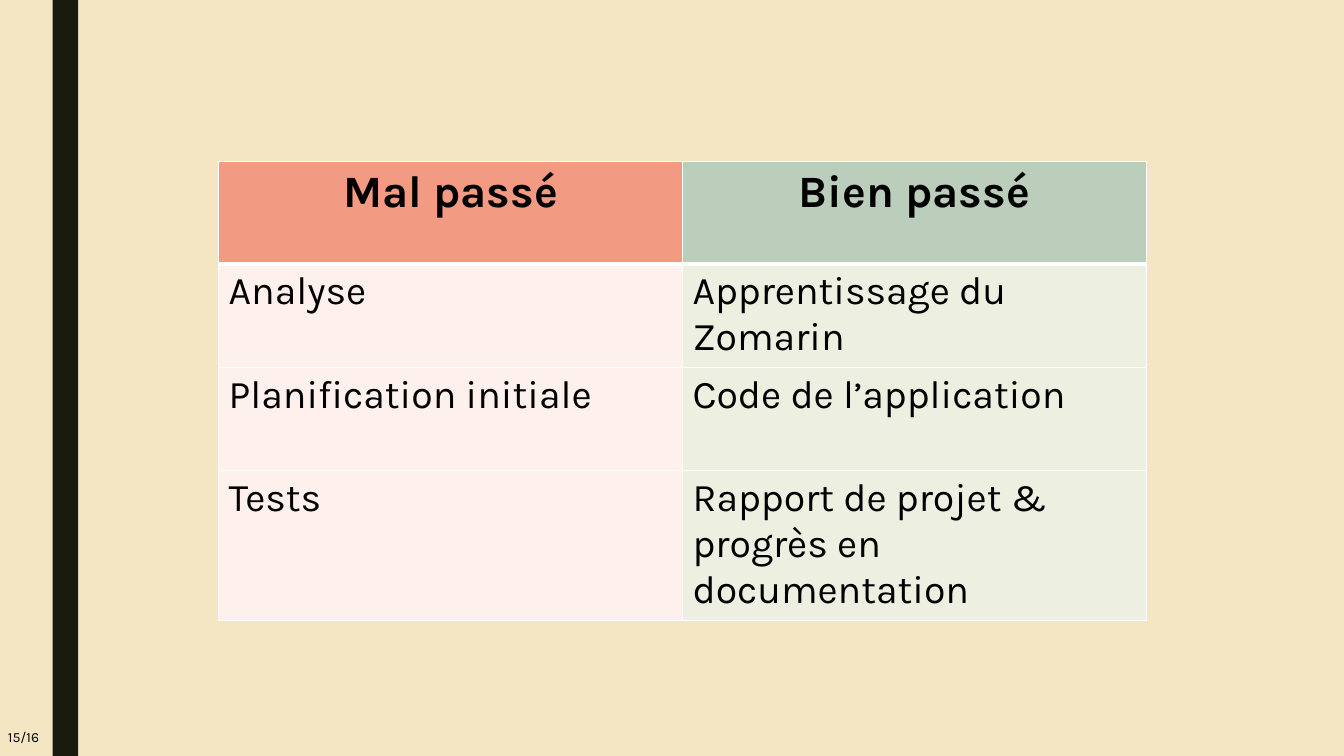
from dataclasses import dataclass

import lxml.etree
import pptx
import pptx.dml.color
import pptx.enum.shapes
import pptx.enum.text
import pptx.oxml.ns
import pptx.util

Cm = pptx.util.Cm
Pt = pptx.util.Pt
Align = pptx.enum.text.PP_ALIGN

COLORS = {
    "background": "F5E6C3",
    "band": "191B0E",
    "text": "000000",
    "border": "FFFFFF",
}
FONT = "Karla"
ROW_HEIGHTS = (2.59, 2.62, 2.59, 3.78)
COLUMN_WIDTH = 11.69


@dataclass(frozen=True)
class ReviewColumn:
    heading: str
    items: tuple[str, ...]
    heading_fill: str
    item_fill: str


REVIEW = (
    ReviewColumn("Mal passé", ("Analyse", "Planification initiale", "Tests"),
                 "F29A82", "FDF0ED"),
    ReviewColumn("Bien passé",
                 ("Apprentissage du Zomarin", "Code de l’application",
                  "Rapport de projet & progrès en documentation"),
                 "BBCDBB", "EDEFE0"),
)


def rgb(value: str) -> pptx.dml.color.RGBColor:
    return pptx.dml.color.RGBColor.from_string(value)


def write(frame, text: str, *, size: float, bold: bool = False,
          align: Align = Align.LEFT) -> None:
    frame.word_wrap = True
    paragraph = frame.paragraphs[0]
    paragraph.alignment = align
    run = paragraph.add_run()
    run.text = text
    run.font.name = FONT
    run.font.size = Pt(size)
    run.font.bold = bold
    run.font.color.rgb = rgb(COLORS["text"])


def set_borders(cell, **widths: float) -> None:
    """Draw the cell edges, given in the order L, R, T, B."""
    qn = pptx.oxml.ns.qn
    properties = cell._tc.get_or_add_tcPr()
    for position, (side, width) in enumerate(widths.items()):
        line = lxml.etree.Element(qn(f"a:ln{side}"), w=str(Pt(width)))
        fill = lxml.etree.SubElement(line, qn("a:solidFill"))
        lxml.etree.SubElement(fill, qn("a:srgbClr"), val=COLORS["border"])
        properties.insert(position, line)


def fill_cell(cell, text: str, fill: str, row: int) -> None:
    heading = row == 0
    cell.fill.solid()
    cell.fill.fore_color.rgb = rgb(fill)
    write(cell.text_frame, text, size=32 if heading else 28, bold=heading,
          align=Align.CENTER if heading else Align.LEFT)
    set_borders(cell, L=1, R=1, T=3 if row == 1 else 1, B=3 if heading else 1)


def add_review_table(slide) -> None:
    table = slide.shapes.add_table(
        len(ROW_HEIGHTS), len(REVIEW), Cm(5.51), Cm(4.06),
        Cm(COLUMN_WIDTH * len(REVIEW)), Cm(sum(ROW_HEIGHTS))).table
    for row, height in enumerate(ROW_HEIGHTS):
        table.rows[row].height = Cm(height)
    for index, column in enumerate(REVIEW):
        table.columns[index].width = Cm(COLUMN_WIDTH)
        for row, text in enumerate((column.heading, *column.items)):
            fill = column.item_fill if row else column.heading_fill
            fill_cell(table.cell(row, index), text, fill, row)


def main() -> None:
    deck = pptx.Presentation()
    deck.slide_width, deck.slide_height = Cm(33.87), Cm(19.05)
    slide = deck.slides.add_slide(deck.slide_layouts[6])
    slide.background.fill.solid()
    slide.background.fill.fore_color.rgb = rgb(COLORS["background"])

    # Dark band on the left
    band = slide.shapes.add_shape(pptx.enum.shapes.MSO_SHAPE.RECTANGLE,
                                  Cm(1.33), 0, Cm(0.64), deck.slide_height)
    band.shadow.inherit = False
    band.fill.solid()
    band.fill.fore_color.rgb = rgb(COLORS["band"])
    band.line.fill.background()

    # What went badly and what went well
    add_review_table(slide)

    # Page number
    page_number = slide.shapes.add_textbox(Cm(-0.05), Cm(18.24), Cm(1.52), Cm(0.69))
    write(page_number.text_frame, "15/16", size=10)

    deck.save("out.pptx")


if __name__ == "__main__":
    main()
